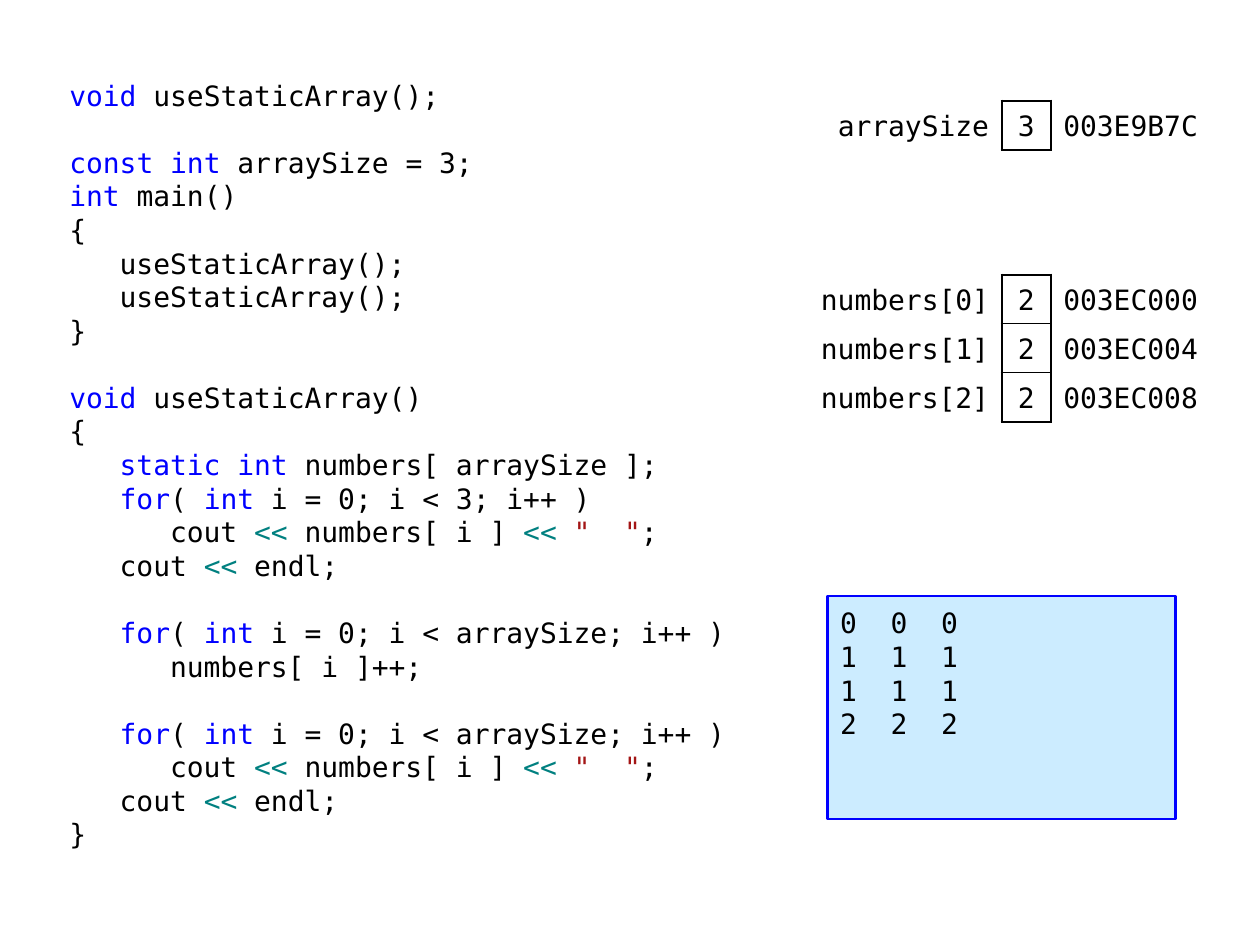
from lxml.etree import SubElement
from pptx import Presentation
from pptx.dml.color import RGBColor
from pptx.enum.shapes import MSO_SHAPE
from pptx.enum.text import MSO_ANCHOR, MSO_AUTO_SIZE, PP_ALIGN
from pptx.oxml.ns import qn
from pptx.util import Inches, Pt

COLORS = {
    "plain": "000000",
    "keyword": "0000FF",
    "operator": "008080",
    "string": "A31515",
    "output": "CCECFF",
}
FONT = "DejaVu Sans Mono"
SIZE = 16
LINE_PITCH = 19.2
INDENT = 0.4
ROW_HEIGHT = 0.39
COLUMNS = (1.57, 0.39, 1.38)
THICK, THIN = 1.5, 0.75


def rgb(name):
    return RGBColor.from_string(COLORS[name])


def add_run(p, text, color="plain"):
    r = p.add_run()
    r.text = text
    r.font.name = FONT
    r.font.size = Pt(SIZE)
    r.font.color.rgb = rgb(color)


def set_margins(target, left, top, right, bottom):
    target.margin_left, target.margin_top = Inches(left), Inches(top)
    target.margin_right, target.margin_bottom = Inches(right), Inches(bottom)


# Code listing: each line is (indent level, runs); None stands for a gap
def keyword(text):
    return text, "keyword"


def plain(text):
    return text, "plain"


def loop(limit):
    return 1, [keyword("for"), plain("( "), keyword("int"),
               plain(f" i = 0; i < {limit}; i++ )")]


SHIFT = ("<< ", "operator")
CALL = (1, [plain("useStaticArray();")])
OPEN, CLOSE = (0, [plain("{")]), (0, [plain("}")])
PRINT = [
    (2, [plain("cout "), SHIFT, plain("numbers[ i ] "), SHIFT,
         ('"  "', "string"), plain(";")]),
    (1, [plain("cout "), SHIFT, plain("endl;")]),
]
CODE = [
    (0, [keyword("void "), plain("useStaticArray();")]),
    None,
    (0, [keyword("const int"), plain(" arraySize = 3;")]),
    (0, [keyword("int"), plain(" main()")]),
    OPEN, CALL, CALL, CLOSE,
    None,
    (0, [keyword("void "), plain("useStaticArray()")]),
    OPEN,
    (1, [keyword("static int"), plain(" numbers[ arraySize ];")]),
    loop("3"), *PRINT,
    None,
    loop("arraySize"),
    (2, [plain("numbers[ i ]++;")]),
    None,
    loop("arraySize"), *PRINT,
    CLOSE,
]


def fill_code(body, left, top, width, height):
    body.left, body.top = Inches(left), Inches(top)
    body.width, body.height = Inches(width), Inches(height)
    tf = body.text_frame
    tf.word_wrap = True
    tf.auto_size = MSO_AUTO_SIZE.NONE
    tf.vertical_anchor = MSO_ANCHOR.TOP
    set_margins(tf, 0.08, 0.02, 0.08, 0.02)
    p, gap = tf.paragraphs[0], 0
    for line in CODE:
        if line is None:
            gap = LINE_PITCH
            continue
        level, runs = line
        if p.runs:
            p = tf.add_paragraph()
        p.alignment = PP_ALIGN.LEFT
        p.line_spacing = 1.0
        p.space_before, p.space_after = Pt(gap), Pt(0)
        pPr = p._p.get_or_add_pPr()
        pPr.set("marL", str(Inches(INDENT * level)))
        pPr.set("indent", "0")
        SubElement(pPr, qn("a:buNone"))
        for text, color in runs:
            add_run(p, text, color)
        gap = 0


# Memory tables: name, boxed value, address
def set_borders(cell, widths):
    tcPr = cell._tc.get_or_add_tcPr()
    for side in "LRTB":
        width = widths.get(side, 0)
        ln = SubElement(tcPr, qn(f"a:ln{side}"), w=str(Pt(width)))
        if width:
            fill = SubElement(ln, qn("a:solidFill"))
            SubElement(fill, qn("a:srgbClr"), val=COLORS["plain"])
        else:
            SubElement(ln, qn("a:noFill"))


def add_memory(slide, left, top, rows):
    last = len(rows) - 1
    table = slide.shapes.add_table(
        len(rows), len(COLUMNS), Inches(left), Inches(top),
        Inches(sum(COLUMNS)), Inches(ROW_HEIGHT * len(rows))).table
    table.first_row = table.horz_banding = False
    for column, width in zip(table.columns, COLUMNS):
        column.width = Inches(width)
    aligns = (PP_ALIGN.RIGHT, PP_ALIGN.CENTER, PP_ALIGN.LEFT)
    for i, row in enumerate(rows):
        table.rows[i].height = Inches(ROW_HEIGHT)
        box = {"L": THICK, "R": THICK,
               "T": THIN if i else THICK,
               "B": THIN if i < last else THICK}
        borders = ({"R": THICK}, box, {"L": THICK})
        for j, text in enumerate(row):
            cell = table.cell(i, j)
            side = 0 if j == 1 else 0.1
            set_margins(cell, side, 0, side, 0)
            cell.vertical_anchor = MSO_ANCHOR.MIDDLE
            set_borders(cell, borders[j])
            cell.fill.background()
            p = cell.text_frame.paragraphs[0]
            p.alignment = aligns[j]
            p.line_spacing = 1.1
            p.space_before = Pt(0.2 * SIZE)
            add_run(p, text)


# Program output
def add_output(slide, left, top, width, height, lines):
    sp = slide.shapes.add_shape(MSO_SHAPE.RECTANGLE, Inches(left), Inches(top),
                                Inches(width), Inches(height))
    sp.shadow.inherit = False
    sp.fill.solid()
    sp.fill.fore_color.rgb = rgb("output")
    sp.line.color.rgb = rgb("keyword")
    sp.line.width = Pt(THICK)
    tf = sp.text_frame
    tf.word_wrap = True
    tf.vertical_anchor = MSO_ANCHOR.TOP
    set_margins(tf, 0.1, 0.08, 0.1, 0.05)
    for i, line in enumerate(lines):
        p = tf.add_paragraph() if i else tf.paragraphs[0]
        p.alignment = PP_ALIGN.LEFT
        add_run(p, line)


def main():
    prs = Presentation()
    prs.slide_width, prs.slide_height = Inches(10), Inches(7.5)
    slide = prs.slides.add_slide(prs.slide_layouts[1])
    title = slide.shapes.title._element
    title.getparent().remove(title)
    fill_code(slide.placeholders[1], 0.47, 0.6, 6.89, 6.3)
    addresses = ("003EC000", "003EC004", "003EC008")
    add_memory(slide, 6.38, 2.18,
               [(f"numbers[{i}]", "2", a) for i, a in enumerate(addresses)])
    add_memory(slide, 6.38, 0.8, [("arraySize", "3", "003E9B7C")])
    add_output(slide, 6.57, 4.73, 2.76, 1.77,
               [f"{n}  {n}  {n}" for n in (0, 1, 1, 2)])
    prs.save("out.pptx")


if __name__ == "__main__":
    main()
